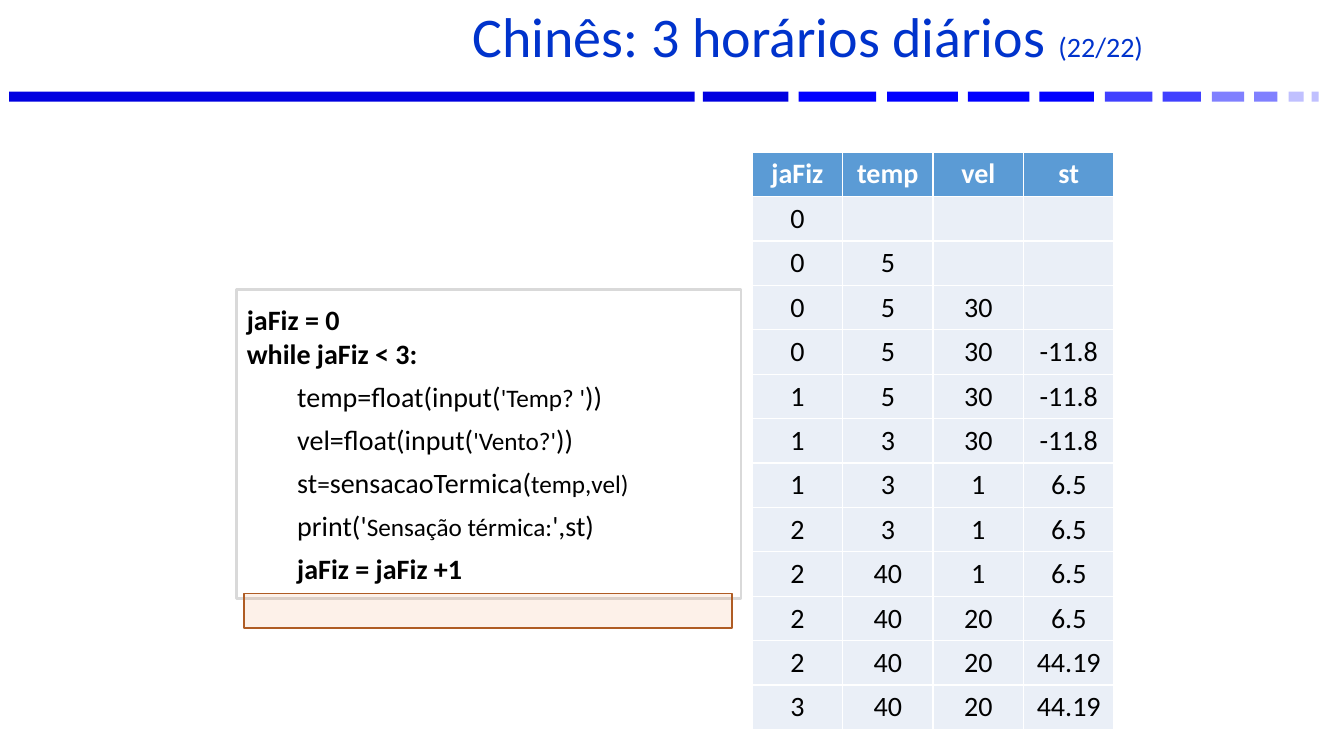
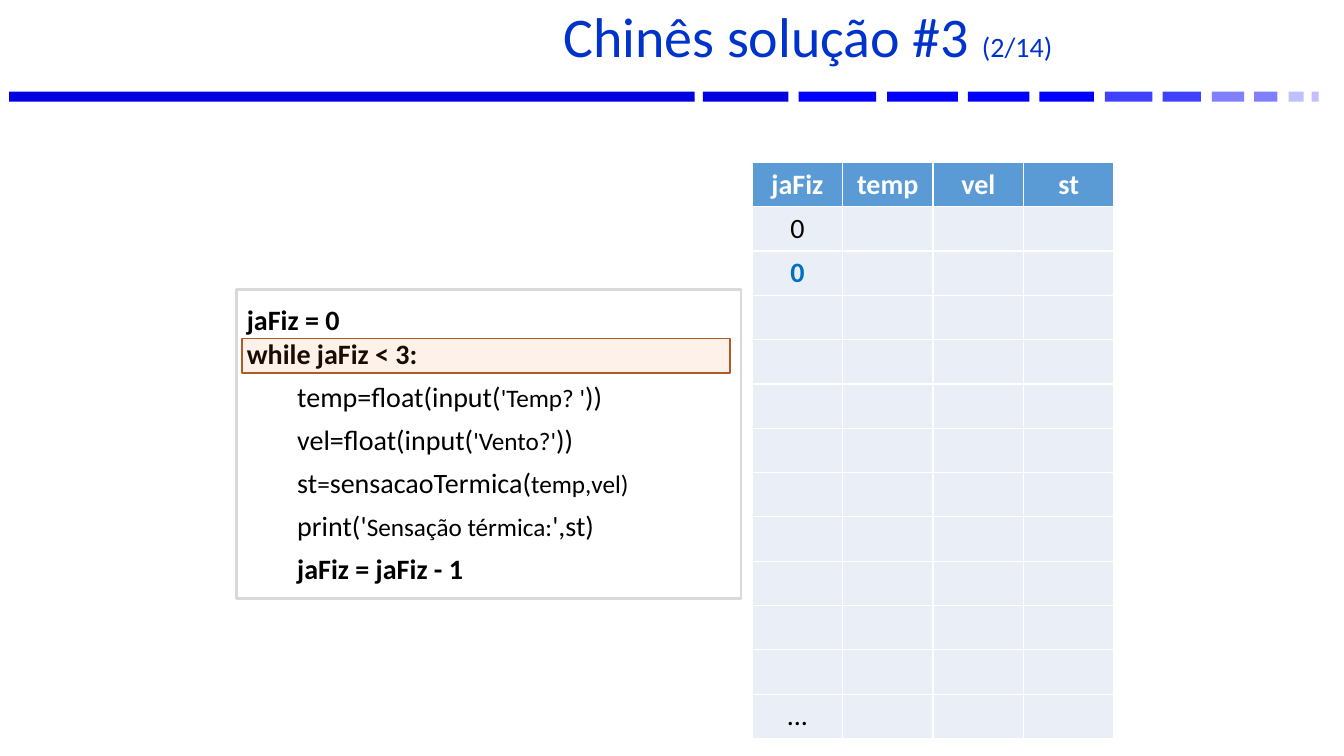
import pptx
import pptx.dml.color
import pptx.enum.shapes
import pptx.enum.text
import pptx.oxml.ns
import pptx.util
from lxml import etree

Inches = pptx.util.Inches
Pt = pptx.util.Pt
CENTER = pptx.enum.text.PP_ALIGN.CENTER
LEFT = pptx.enum.text.PP_ALIGN.LEFT
MIDDLE = pptx.enum.text.MSO_ANCHOR.MIDDLE

FONT = "Calibri"
COLORS = {
    "title": "0033CC",
    "ink": "000000",
    "white": "FFFFFF",
    "header": "5B9BD5",
    "cell": "EAEFF7",
    "current": "0070C0",
    "frame": "D9D9D9",
    "marker": "ED7D31",
    "marker_line": "AF5C24",
    "dash_navy": "0000E0",
    "dash_blue": "0000FF",
    "dash_mid": "4040FF",
    "dash_light": "8080FF",
    "dash_pale": "C0C0FF",
}
# Left and width of each dash, in inches, with its colour
DASHES = [
    (0.09, 6.8, "dash_navy"), (6.97, 0.85, "dash_navy"),
    (7.92, 0.77, "dash_blue"), (8.8, 0.7, "dash_blue"),
    (9.6, 0.61, "dash_blue"), (10.31, 0.54, "dash_blue"),
    (10.96, 0.47, "dash_mid"), (11.53, 0.38, "dash_mid"),
    (12.02, 0.32, "dash_light"), (12.44, 0.23, "dash_light"),
    (12.78, 0.15, "dash_pale"), (13.01, 0.07, "dash_pale"),
]
VARIABLES = ["jaFiz", "temp", "vel", "st"]
TRACE_ROWS = 12
LOOP_HEAD = ["jaFiz = 0", "while jaFiz < 3:"]
# Each line of the loop body is a list of (text, size) pieces
LOOP_BODY = [
    [("temp=float(input(", 20), ("'Temp? '", 18), ("))", 20)],
    [("vel=float(input(", 20), ("'Vento?'", 18), ("))", 20)],
    [("st", 20), ("=", 18), ("sensacaoTermica(", 20), ("temp,vel)", 18)],
    [("print('", 20), ("Sensação térmica:", 18), ("',st)", 20)],
]
SLIDES = [
    {
        "title": " Chinês: 3 horários diários ",
        "step": "(22/22)",
        "update": "jaFiz = jaFiz +1",
        "marker": (2.42, 5.89),
        "table_top": 1.51,
        "trace": {
            0: ["0"],
            1: ["0", "5"],
            2: ["0", "5", "30"],
            3: ["0", "5", "30", "-11.8"],
            4: ["1", "5", "30", "-11.8"],
            5: ["1", "3", "30", "-11.8"],
            6: ["1", "3", "1", "6.5"],
            7: ["2", "3", "1", "6.5"],
            8: ["2", "40", "1", "6.5"],
            9: ["2", "40", "20", "6.5"],
            10: ["2", "40", "20", "44.19"],
            11: ["3", "40", "20", "44.19"],
        },
        "current": None,
    },
    {
        "title": " Chinês solução #3 ",
        "step": "(2/14)",
        "update": "jaFiz = jaFiz - 1",
        "marker": (2.4, 3.36),
        "table_top": 1.61,
        "trace": {0: ["0"], 1: ["0"], 11: ["..."]},
        "current": (1, 0),
    },
]


def rgb(name):
    return pptx.dml.color.RGBColor.from_string(COLORS[name])


def style(font, size, color, bold=False):
    font.name = FONT
    font.size = Pt(size)
    font.bold = bold
    font.color.rgb = rgb(color)


def add_box(slide, left, top, width, height, fill, line=None, line_width=1):
    box = slide.shapes.add_shape(
        pptx.enum.shapes.MSO_SHAPE.RECTANGLE,
        Inches(left), Inches(top), Inches(width), Inches(height))
    box.shadow.inherit = False
    box.fill.solid()
    box.fill.fore_color.rgb = rgb(fill)
    if line:
        box.line.color.rgb = rgb(line)
        box.line.width = Pt(line_width)
    else:
        box.line.fill.background()
    return box


def add_dashed_band(slide, top=0.91, height=0.1):
    for left, width, color in DASHES:
        add_box(slide, left, top, width, height, color)


def add_title(slide, title, step, left=2.57, top=0.06, width=10.76, height=0.7):
    frame = slide.shapes.add_textbox(
        Inches(left), Inches(top), Inches(width), Inches(height)).text_frame
    frame.word_wrap = True
    frame.vertical_anchor = MIDDLE
    heading = frame.paragraphs[0]
    heading.alignment = CENTER
    heading.line_spacing = 0.8
    heading.space_before = Pt(6)
    style(heading.font, 40, "title")
    heading.add_run().text = title
    counter = heading.add_run()
    counter.text = step
    counter.font.size = Pt(20)


def add_trace_table(slide, trace, current, top, left=7.46, width=3.59, row_height=0.44):
    """Show the variables' values step by step, with the current cell in blue."""
    rows = TRACE_ROWS + 1
    table = slide.shapes.add_table(
        rows, len(VARIABLES), Inches(left), Inches(top),
        Inches(width), Inches(rows * row_height)).table
    table.horz_banding = False
    for row in range(rows):
        is_header = row == 0
        values = VARIABLES if is_header else trace.get(row - 1, [])
        for column in range(len(VARIABLES)):
            cell = table.cell(row, column)
            cell.fill.solid()
            cell.fill.fore_color.rgb = rgb("header" if is_header else "cell")
            cell.vertical_anchor = MIDDLE
            entry = cell.text_frame.paragraphs[0]
            entry.alignment = CENTER
            style(entry.font, 20, "white" if is_header else "ink", is_header)
            if column < len(values):
                value = entry.add_run()
                value.text = values[column]
                if (row - 1, column) == current:
                    style(value.font, 20, "current", True)


def add_code_panel(slide, update, left=2.35, top=2.87, width=5, height=3.07):
    panel = add_box(slide, left, top, width, height, "white", "frame", 2)
    frame = panel.text_frame
    frame.word_wrap = True
    frame.vertical_anchor = MIDDLE
    frame.margin_top = frame.margin_bottom = 0
    lines = [(0, True, [(text, 20)]) for text in LOOP_HEAD]
    lines += [(1, False, pieces) for pieces in LOOP_BODY]
    lines.append((1, True, [(update, 20)]))
    for number, (level, bold, pieces) in enumerate(lines):
        line = frame.add_paragraph() if number else frame.paragraphs[0]
        line.alignment = LEFT
        style(line.font, 20, "ink", bold)
        if level:
            line.level = level
            line.line_spacing = 1.2
            line.space_before = Pt(2)
            line._p.get_or_add_pPr().set("marL", str(Inches(0.5)))
        for text, size in pieces:
            piece = line.add_run()
            piece.text = text
            if size != 20:
                piece.font.size = Pt(size)


def add_line_marker(slide, left, top, width=4.84, height=0.34):
    """Tint the line of code being run."""
    marker = add_box(slide, left, top, width, height, "marker", "marker_line")
    color = marker.fill._xPr.find(".//" + pptx.oxml.ns.qn("a:srgbClr"))
    etree.SubElement(color, pptx.oxml.ns.qn("a:alpha"), val="10000")


def add_trace_slide(deck, content):
    slide = deck.slides.add_slide(deck.slide_layouts[6])
    add_dashed_band(slide)
    add_trace_table(slide, content["trace"], content["current"], content["table_top"])
    add_title(slide, content["title"], content["step"])
    add_code_panel(slide, content["update"])
    add_line_marker(slide, *content["marker"])


def main():
    deck = pptx.Presentation()
    deck.slide_width = Inches(13.33)
    deck.slide_height = Inches(7.5)
    for content in SLIDES:
        add_trace_slide(deck, content)
    deck.save("out.pptx")


if __name__ == "__main__":
    main()
